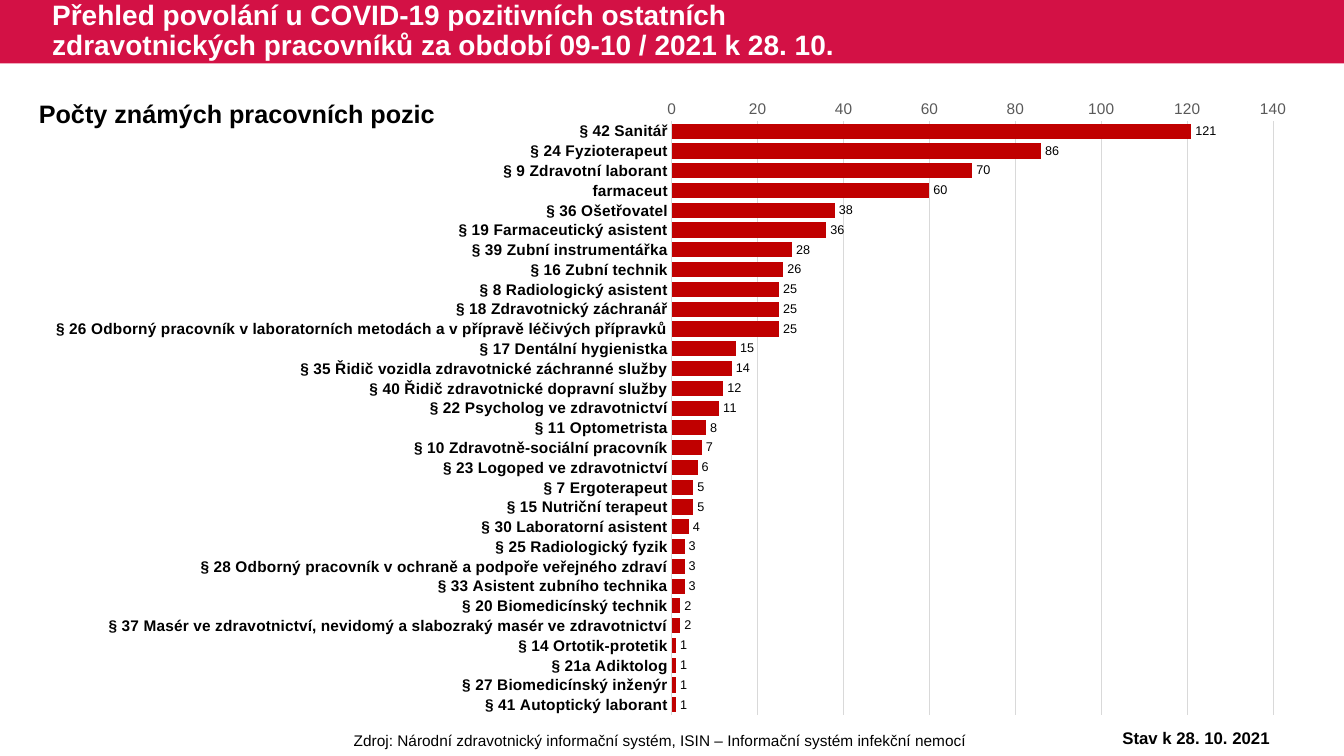
from lxml import etree
from pptx import Presentation
from pptx.chart.data import CategoryChartData
from pptx.dml.color import RGBColor
from pptx.enum.chart import XL_CHART_TYPE, XL_LABEL_POSITION, XL_TICK_MARK
from pptx.enum.shapes import MSO_SHAPE
from pptx.enum.text import MSO_ANCHOR, MSO_AUTO_SIZE, PP_ALIGN
from pptx.oxml.ns import qn
from pptx.util import Cm, Pt

BAR_CLUSTERED = XL_CHART_TYPE.BAR_CLUSTERED
OUTSIDE_END = XL_LABEL_POSITION.OUTSIDE_END
NO_TICK = XL_TICK_MARK.NONE
RECTANGLE = MSO_SHAPE.RECTANGLE
MIDDLE = MSO_ANCHOR.MIDDLE
TOP = MSO_ANCHOR.TOP
NO_AUTOFIT = MSO_AUTO_SIZE.NONE
LEFT = PP_ALIGN.LEFT
CENTER = PP_ALIGN.CENTER

CRIMSON = RGBColor(0xD3, 0x11, 0x45)
DARK_RED = RGBColor(0xC0, 0x00, 0x00)
BLACK = RGBColor(0x00, 0x00, 0x00)
WHITE = RGBColor(0xFF, 0xFF, 0xFF)
GRAY = RGBColor(0x59, 0x59, 0x59)
LIGHT_GRAY = RGBColor(0xD9, 0xD9, 0xD9)
FONT_NAME = "Arial"

TITLE = ("Přehled povolání u COVID-19 pozitivních ostatních "
         "zdravotnických pracovníků za období 09-10 / 2021 k 28. 10.")
SOURCE = "Zdroj: Národní zdravotnický informační systém, ISIN – Informační systém infekční nemocí"
POSITIONS = [
    ("§ 42 Sanitář", 121),
    ("§ 24 Fyzioterapeut", 86),
    ("§ 9 Zdravotní laborant", 70),
    ("farmaceut", 60),
    ("§ 36 Ošetřovatel", 38),
    ("§ 19 Farmaceutický asistent", 36),
    ("§ 39 Zubní instrumentářka", 28),
    ("§ 16 Zubní technik", 26),
    ("§ 8 Radiologický asistent", 25),
    ("§ 18 Zdravotnický záchranář", 25),
    ("§ 26 Odborný pracovník v laboratorních metodách a v přípravě léčivých přípravků", 25),
    ("§ 17 Dentální hygienistka", 15),
    ("§ 35 Řidič vozidla zdravotnické záchranné služby", 14),
    ("§ 40 Řidič zdravotnické dopravní služby", 12),
    ("§ 22 Psycholog ve zdravotnictví", 11),
    ("§ 11 Optometrista", 8),
    ("§ 10 Zdravotně-sociální pracovník", 7),
    ("§ 23 Logoped ve zdravotnictví", 6),
    ("§ 7 Ergoterapeut", 5),
    ("§ 15 Nutriční terapeut", 5),
    ("§ 30 Laboratorní asistent", 4),
    ("§ 25 Radiologický fyzik", 3),
    ("§ 28 Odborný pracovník v ochraně a podpoře veřejného zdraví", 3),
    ("§ 33 Asistent zubního technika", 3),
    ("§ 20 Biomedicínský technik", 2),
    ("§ 37 Masér ve zdravotnictví, nevidomý a slabozraký masér ve zdravotnictví", 2),
    ("§ 14 Ortotik-protetik", 1),
    ("§ 21a Adiktolog", 1),
    ("§ 27 Biomedicínský inženýr", 1),
    ("§ 41 Autoptický laborant", 1),
]


def format_font(font, size, color=BLACK, bold=False):
    font.name = FONT_NAME
    font.size = Pt(size)
    font.bold = bold
    font.color.rgb = color


def write_text(shape, text, size, color=BLACK, bold=False, align=LEFT,
               anchor=TOP, wrap=True, line_spacing=None):
    frame = shape.text_frame
    frame.auto_size = NO_AUTOFIT
    frame.word_wrap = wrap
    frame.vertical_anchor = anchor
    paragraph = frame.paragraphs[0]
    paragraph.alignment = align
    paragraph.line_spacing = line_spacing
    run = paragraph.add_run()
    run.text = text
    format_font(run.font, size, color, bold)


def add_header(slide, left, top, width, height):
    band = slide.shapes.add_shape(RECTANGLE, left, top, width, height)
    band.shadow.inherit = False
    band.fill.solid()
    band.fill.fore_color.rgb = CRIMSON
    band.line.fill.background()
    title = slide.shapes.title
    title.element.addprevious(band.element)
    title.left, title.top = left + Cm(1.06), top
    title.width, title.height = Cm(20.98), height
    write_text(title, TITLE, 20, color=WHITE, bold=True, anchor=MIDDLE, line_spacing=0.9)


def place_plot(chart, **fractions):
    plot_area = chart.element.find(".//" + qn("c:plotArea"))
    for old_layout in plot_area.findall(qn("c:layout")):
        plot_area.remove(old_layout)
    layout = etree.Element(qn("c:layout"))
    manual = etree.SubElement(layout, qn("c:manualLayout"))
    settings = {"layoutTarget": "inner", "xMode": "edge", "yMode": "edge", **fractions}
    for name, value in settings.items():
        etree.SubElement(manual, qn("c:" + name)).set("val", str(value))
    plot_area.insert(0, layout)


def add_position_chart(slide, left, top, width, height):
    data = CategoryChartData()
    data.categories = [name for name, count in POSITIONS]
    data.add_series("Počet", [count for name, count in POSITIONS])
    chart = slide.shapes.add_chart(BAR_CLUSTERED, left, top, width, height, data).chart
    chart.has_title = False
    chart.has_legend = False
    format_font(chart.font, 10)
    place_plot(chart, x=0.511, y=0.063, w=0.46, h=0.917)

    categories = chart.category_axis
    categories.reverse_order = True
    categories.format.line.color.rgb = LIGHT_GRAY
    categories.format.line.width = Pt(0.75)
    format_font(categories.tick_labels.font, 11, bold=True)

    values = chart.value_axis
    values.minimum_scale, values.maximum_scale, values.major_unit = 0, 140, 20
    values.format.line.fill.background()
    values.major_gridlines.format.line.color.rgb = LIGHT_GRAY
    values.major_gridlines.format.line.width = Pt(0.75)
    format_font(values.tick_labels.font, 11, color=GRAY)
    for axis in (categories, values):
        axis.major_tick_mark = axis.minor_tick_mark = NO_TICK

    plot = chart.plots[0]
    plot.gap_width = 30
    plot.overlap = 100
    plot.vary_by_categories = False
    series = plot.series[0]
    series.invert_if_negative = False
    series.format.fill.solid()
    series.format.fill.fore_color.rgb = DARK_RED
    labels = series.data_labels
    labels.show_value = True
    labels.position = OUTSIDE_END
    format_font(labels.font, 9)


def add_chart_heading(slide, left, top, width, height):
    heading = slide.shapes.add_textbox(left, top, width, height)
    write_text(heading, "Počty známých pracovních pozic", 18, bold=True, wrap=False)


def add_footer(slide, left, top, width, height):
    source = slide.shapes.add_textbox(left, top + Cm(0.08), Cm(21.28), height)
    write_text(source, SOURCE, 11, align=CENTER)
    date_width = Cm(5.59)
    date = slide.shapes.add_textbox(left + width - date_width, top, date_width, height)
    write_text(date, "Stav k 28. 10. 2021", 12, bold=True, align=CENTER)


def main():
    presentation = Presentation()
    presentation.slide_width = Cm(33.87)
    presentation.slide_height = Cm(19.05)
    slide = presentation.slides.add_slide(presentation.slide_layouts[5])
    add_header(slide, 0, 0, presentation.slide_width, Cm(1.6))
    add_position_chart(slide, Cm(0.1), Cm(2.03), Cm(32.94), Cm(16.31))
    add_chart_heading(slide, Cm(0.73), Cm(2.36), Cm(10.57), Cm(1.02))
    add_footer(slide, Cm(6), Cm(18.21), Cm(26.94), Cm(0.75))
    presentation.save("out.pptx")


if __name__ == "__main__":
    main()
